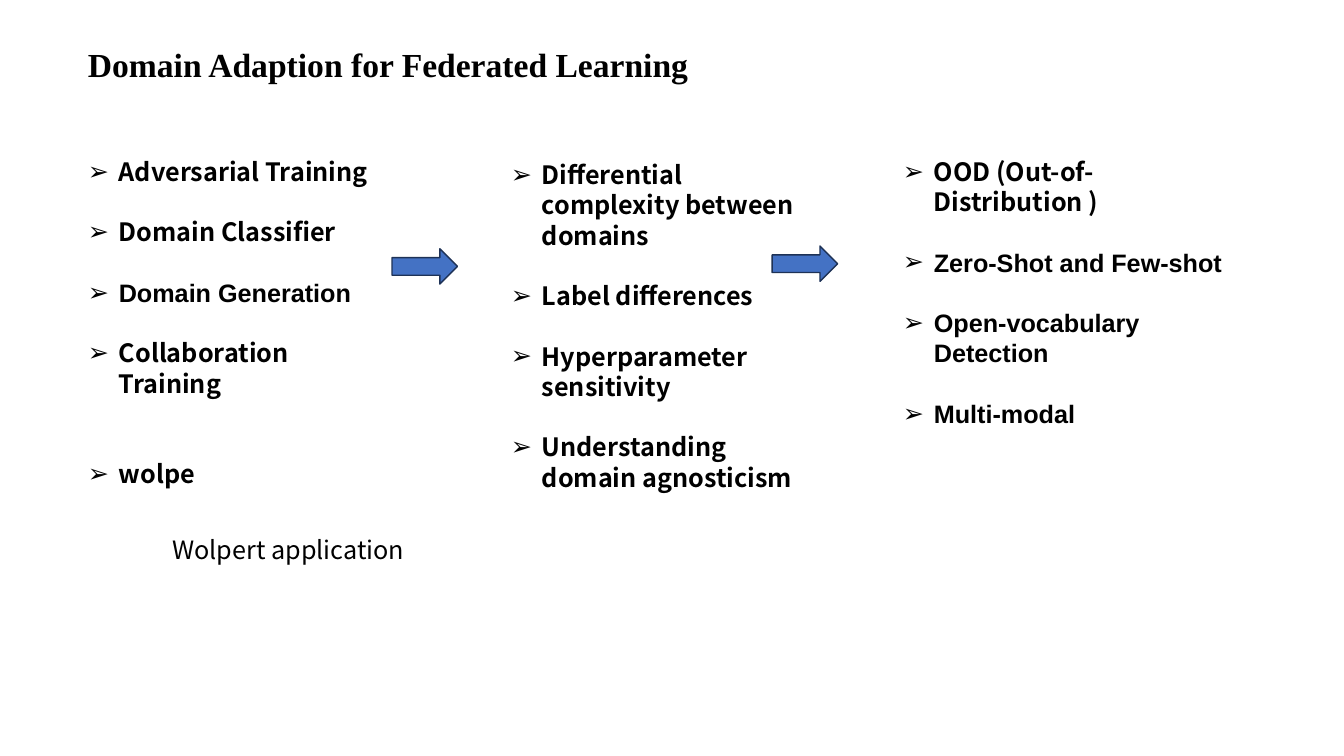
from lxml import etree
from pptx import Presentation
from pptx.dml.color import RGBColor
from pptx.enum import shapes, text
from pptx.oxml import ns
from pptx.util import Cm, Pt

HEADING_FONT = "Times New Roman"
NOTO = "Noto Sans CJK SC"
ARIAL = "Arial"
LINE = 21.6
INDENT = Cm(0.78)


def color(hex_code):
    return RGBColor.from_string(hex_code)


def write_line(paragraph, wording, font, size=18, bold=True, bullet=None, gap=0):
    """Fill one left-aligned paragraph; gap is the space before it in points."""
    properties = paragraph._p.get_or_add_pPr()
    properties.set("marL", str(INDENT if bullet else 0))
    properties.set("indent", str(-INDENT if bullet else 0))
    if bullet:
        etree.SubElement(properties, ns.qn("a:buFont"), typeface=ARIAL)
        etree.SubElement(properties, ns.qn("a:buChar"), char=bullet)
    else:
        etree.SubElement(properties, ns.qn("a:buNone"))
    paragraph.text = wording
    paragraph.alignment = text.PP_ALIGN.LEFT
    paragraph.space_before = Pt(gap)
    paragraph.font.name = font
    paragraph.font.size = Pt(size)
    paragraph.font.bold = bold
    paragraph.font.color.rgb = color("000000")


presentation = Presentation()
presentation.slide_width = Cm(33.87)
presentation.slide_height = Cm(19.05)
slide = presentation.slides.add_slide(presentation.slide_layouts.get_by_name("Comparison"))
heading, methods, challenges, directions, application = slide.placeholders

# Placeholder positions: left, top, width, height
places = [
    (heading, 1.96, 0.97, 15.8, 1.27),
    (methods, 1.96, 3.81, 7.92, 7.95),
    (challenges, 12.62, 3.89, 7.92, 7.95),
    (directions, 22.5, 3.81, 9.4, 5.64),
    (application, 4.09, 13.34, 8.89, 1.02),
]
for part, left, top, width, height in places:
    part.left, part.top, part.width, part.height = Cm(left), Cm(top), Cm(width), Cm(height)
    part.text_frame.auto_size = text.MSO_AUTO_SIZE.NONE
    part.text_frame.vertical_anchor = text.MSO_ANCHOR.TOP
    part.text_frame.word_wrap = part is not heading

write_line(heading.text_frame.paragraphs[0], "Domain Adaption for Federated Learning",
           HEADING_FONT, size=24)

# Each item: wording, font, blank lines before it
topics = [
    (methods, [
        ("Adversarial Training", NOTO, 0),
        ("Domain Classifier", NOTO, 1),
        ("Domain Generation", ARIAL, 1),
        ("Collaboration Training", NOTO, 1),
        ("wolpe", NOTO, 2),
    ]),
    (challenges, [
        ("Differential complexity between domains", NOTO, 0),
        ("Label differences", NOTO, 1),
        ("Hyperparameter sensitivity", NOTO, 1),
        ("Understanding domain agnosticism", NOTO, 1),
    ]),
    (directions, [
        ("OOD (Out-of-Distribution )", NOTO, 0),
        ("Zero-Shot and Few-shot", ARIAL, 1),
        ("Open-vocabulary Detection", ARIAL, 1),
        ("Multi-modal", ARIAL, 1),
    ]),
]
for column, items in topics:
    frame = column.text_frame
    for number, (wording, font, blank_lines) in enumerate(items):
        paragraph = frame.add_paragraph() if number else frame.paragraphs[0]
        write_line(paragraph, wording, font, bullet="➢", gap=blank_lines * LINE)
        paragraph.line_spacing = Pt(LINE)

application_line = application.text_frame.paragraphs[0]
write_line(application_line, "Wolpert application", NOTO, bold=False)
application_line.line_spacing = Pt(LINE)

for left, top in [(9.88, 6.27), (19.46, 6.2)]:
    arrow = slide.shapes.add_shape(shapes.MSO_SHAPE.RIGHT_ARROW,
                                   Cm(left), Cm(top), Cm(1.65), Cm(0.89))
    arrow.shadow.inherit = False
    arrow.fill.solid()
    arrow.fill.fore_color.rgb = color("4472C4")
    arrow.line.color.rgb = color("1E3256")
    arrow.line.width = Pt(1)

presentation.save("out.pptx")
